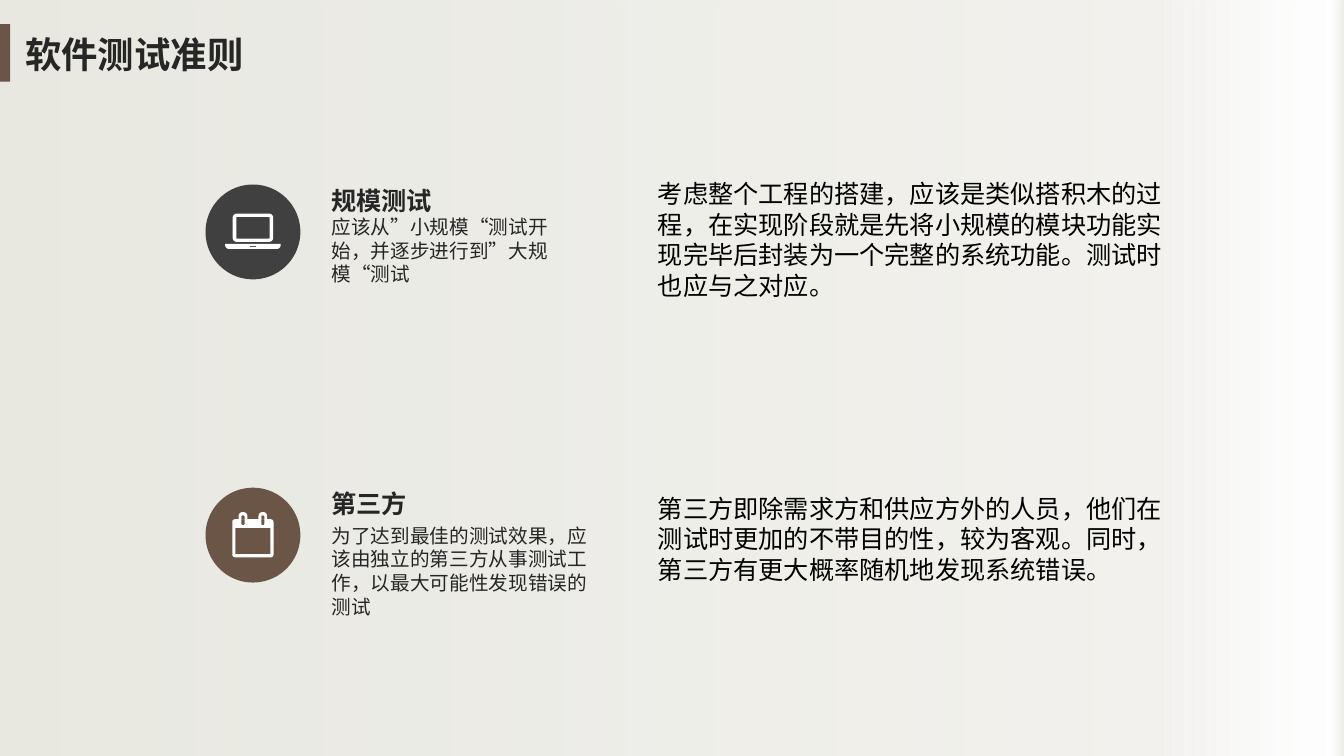
from math import cos, pi, sin

from lxml.etree import SubElement
from pptx import Presentation
from pptx.dml.color import RGBColor
from pptx.enum.lang import MSO_LANGUAGE_ID
from pptx.enum.shapes import MSO_SHAPE
from pptx.enum.text import MSO_ANCHOR, PP_ALIGN
from pptx.oxml.ns import qn
from pptx.util import Cm, Pt

BROWN = RGBColor(0x6A, 0x55, 0x46)
CHARCOAL = RGBColor(0x40, 0x40, 0x40)
INK = RGBColor(0x26, 0x26, 0x26)
BLACK = RGBColor(0, 0, 0)
WHITE = RGBColor(0xFF, 0xFF, 0xFF)
# Position, colour and opacity, in percent
BACKDROP_STOPS = [(0, "E7E7DF", 94), (86, "F0EFEB", 85), (99, "FFFFFF", 62), (100, "EBEBE5", 100)]

DISC_SIZE = 2.39
# Icon contours around the disc centre: left, top, right, bottom, top radius, bottom radius
LAPTOP = [
    (-0.7, 0.3, 0.7, 0.43, 0, 0.1),
    (-0.51, -0.46, 0.51, 0.25, 0.1, 0.1),
    (-0.42, -0.38, 0.42, 0.17, 0.02, 0.02),
    (-0.08, 0.35, 0.08, 0.38, 0, 0),
]
CALENDAR = [(-0.52, -0.4, 0.52, 0.56, 0.07, 0.07), (-0.44, -0.18, 0.44, 0.48, 0, 0)]
for ring in (-0.25, 0.25):
    CALENDAR.append((ring - 0.11, -0.58, ring + 0.11, -0.4, 0.1, 0))
    CALENDAR.append((ring - 0.04, -0.5, ring + 0.04, -0.25, 0.04, 0.04))


def rounded_outline(left, top, right, bottom, top_radius, bottom_radius):
    """Points of a rectangle with rounded corners, clockwise from the top left."""
    corners = [(left, top, 1, 1, top_radius), (right, top, -1, 1, top_radius),
               (right, bottom, -1, -1, bottom_radius), (left, bottom, 1, -1, bottom_radius)]
    points = []
    for index, (x, y, inward_x, inward_y, radius) in enumerate(corners):
        for step in range(7 if radius else 1):
            angle = pi + index * pi / 2 + step * pi / 12
            points.append((x + radius * (inward_x + cos(angle)),
                           y + radius * (inward_y + sin(angle))) if radius else (x, y))
    return points


class SlideBuilder:
    font = "Noto Sans CJK SC"

    def __init__(self, slide):
        self.slide = slide

    def paint(self, shape, color):
        shape.shadow.inherit = False
        shape.fill.solid()
        shape.fill.fore_color.rgb = color
        shape.line.fill.background()

    def preset(self, kind, left, top, width, height, color):
        shape = self.slide.shapes.add_shape(kind, Cm(left), Cm(top), Cm(width), Cm(height))
        self.paint(shape, color)
        return shape

    def backdrop(self, width, height, stops):
        shape = self.preset(MSO_SHAPE.RECTANGLE, 0, 0, width, height, WHITE)
        shape.fill.gradient()
        shape.fill.gradient_angle = 0
        stop_list = next(shape._element.iter(qn("a:gsLst")))
        for stop in list(stop_list):
            stop_list.remove(stop)
        for position, color, opacity in stops:
            stop = SubElement(stop_list, qn("a:gs"), pos=str(position * 1000))
            value = SubElement(stop, qn("a:srgbClr"), val=color)
            SubElement(value, qn("a:alpha"), val=str(opacity * 1000))

    def icon(self, center_x, center_y, contours):
        builder = None
        for contour in contours:
            points = [(Cm(center_x + x), Cm(center_y + y)) for x, y in rounded_outline(*contour)]
            if builder is None:
                builder = self.slide.shapes.build_freeform(*points[0])
            else:
                builder.move_to(*points[0])
            builder.add_line_segments(points[1:], close=True)
        self.paint(builder.convert_to_shape(), WHITE)

    def fill_text(self, shape, text, size, color, bold=False, latin=None, anchor=MSO_ANCHOR.MIDDLE):
        frame = shape.text_frame
        frame.word_wrap = True
        frame.vertical_anchor = anchor
        paragraph = frame.paragraphs[0]
        paragraph.alignment = PP_ALIGN.LEFT
        paragraph.line_spacing = Pt(round(size * 1.21, 1))
        run = paragraph.add_run()
        run.text = text
        run.font.size = Pt(size)
        run.font.bold = bold
        run.font.color.rgb = color
        run.font.name = latin or self.font
        run.font.language_id = MSO_LANGUAGE_ID.SIMPLIFIED_CHINESE
        SubElement(run.font._element, qn("a:ea"), typeface=self.font)

    def title(self, left, top, width, height, text):
        shape = self.slide.shapes.title
        shape.left, shape.top, shape.width, shape.height = Cm(left), Cm(top), Cm(width), Cm(height)
        self.fill_text(shape, text, 26, INK, bold=True)

    def text(self, left, top, width, height, text, size, color, inset=0.25, **style):
        shape = self.slide.shapes.add_textbox(Cm(left), Cm(top), Cm(width), Cm(height))
        shape.text_frame.margin_left = Cm(inset)
        self.fill_text(shape, text, size, color, **style)


presentation = Presentation()
presentation.slide_width, presentation.slide_height = Cm(33.87), Cm(19.05)
builder = SlideBuilder(presentation.slides.add_slide(presentation.slide_layouts[5]))

# Backdrop and title
builder.backdrop(33.87, 19.05, BACKDROP_STOPS)
builder.preset(MSO_SHAPE.RECTANGLE, 0, 0.61, 0.26, 1.45, BROWN)
builder.title(0.38, 0.66, 9.93, 1.37, "软件测试准则")
# The title stands in front of the backdrop
shape_tree = builder.slide.shapes._spTree
shape_tree.append(builder.slide.shapes.title._element)

# Principles: disc top, colour, icon, heading, summary (top, width, height, text), explanation
principles = [
    (4.65, CHARCOAL, LAPTOP, "规模测试",
     (5.56, 5.87, 1.5, "应该从”小规模“测试开始，并逐步进行到”大规模“测试"),
     (4.37, 3.33, "考虑整个工程的搭建，应该是类似搭积木的过程，在实现阶段就是先将小规模的模块功能"
                  "实现完毕后封装为一个完整的系统功能。测试时也应与之对应。")),
    (12.29, BROWN, CALENDAR, "第三方",
     (13, 7.04, 2.77, "为了达到最佳的测试效果，应该由独立的第三方从事测试工作，以最大可能性发现错误的测试"),
     (12.29, 2.57, "第三方即除需求方和供应方外的人员，他们在测试时更加的不带目的性，较为客观。"
                   "同时，第三方有更大概率随机地发现系统错误。")),
]
for disc_top, color, contours, heading, summary, explanation in principles:
    builder.preset(MSO_SHAPE.OVAL, 5.18, disc_top, DISC_SIZE, DISC_SIZE, color)
    builder.icon(5.18 + DISC_SIZE / 2, disc_top + DISC_SIZE / 2, contours)
    top, width, height, text = summary
    builder.text(8.36, top, width, height, text, 14, INK, inset=0, latin="Arial")
    builder.text(8.1, disc_top, 5.05, 0.79, heading, 18, INK, bold=True)
    top, height, text = explanation
    builder.text(16.33, top, 13.44, height, text, 18, BLACK, anchor=MSO_ANCHOR.TOP)

presentation.save("out.pptx")
